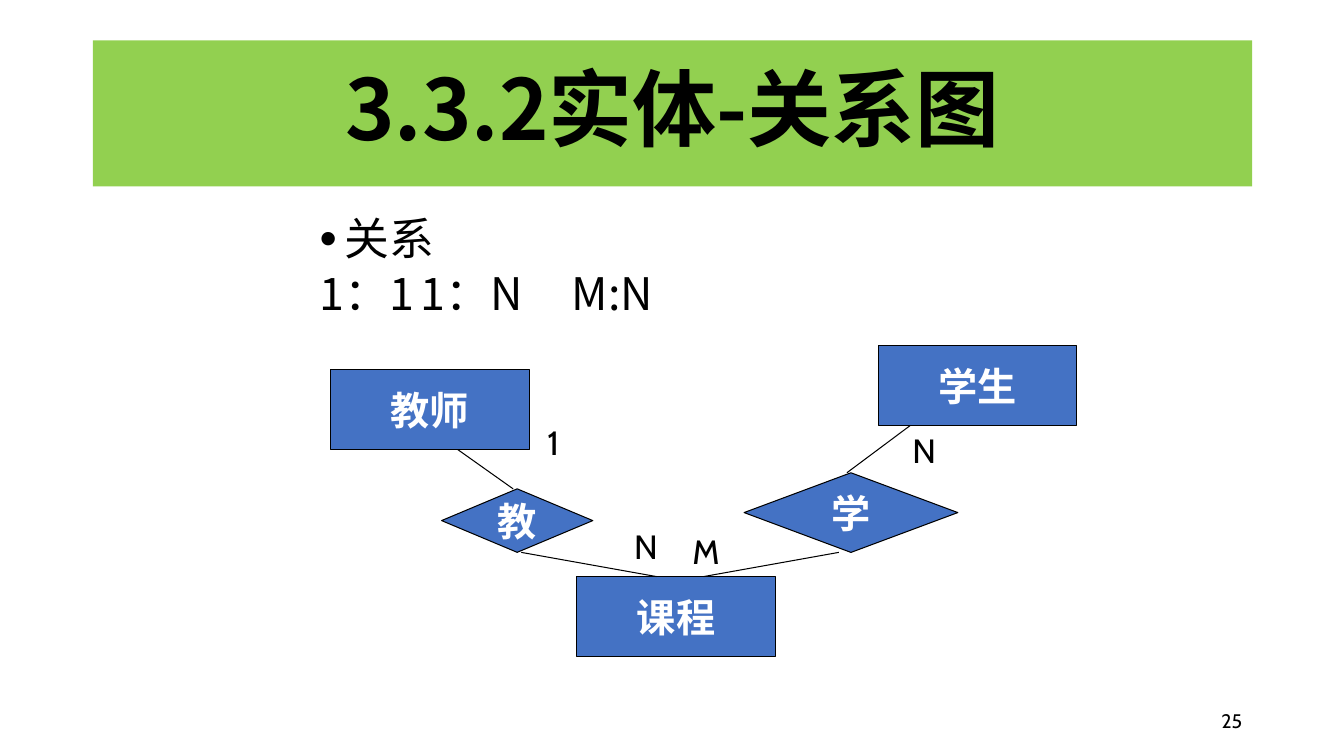
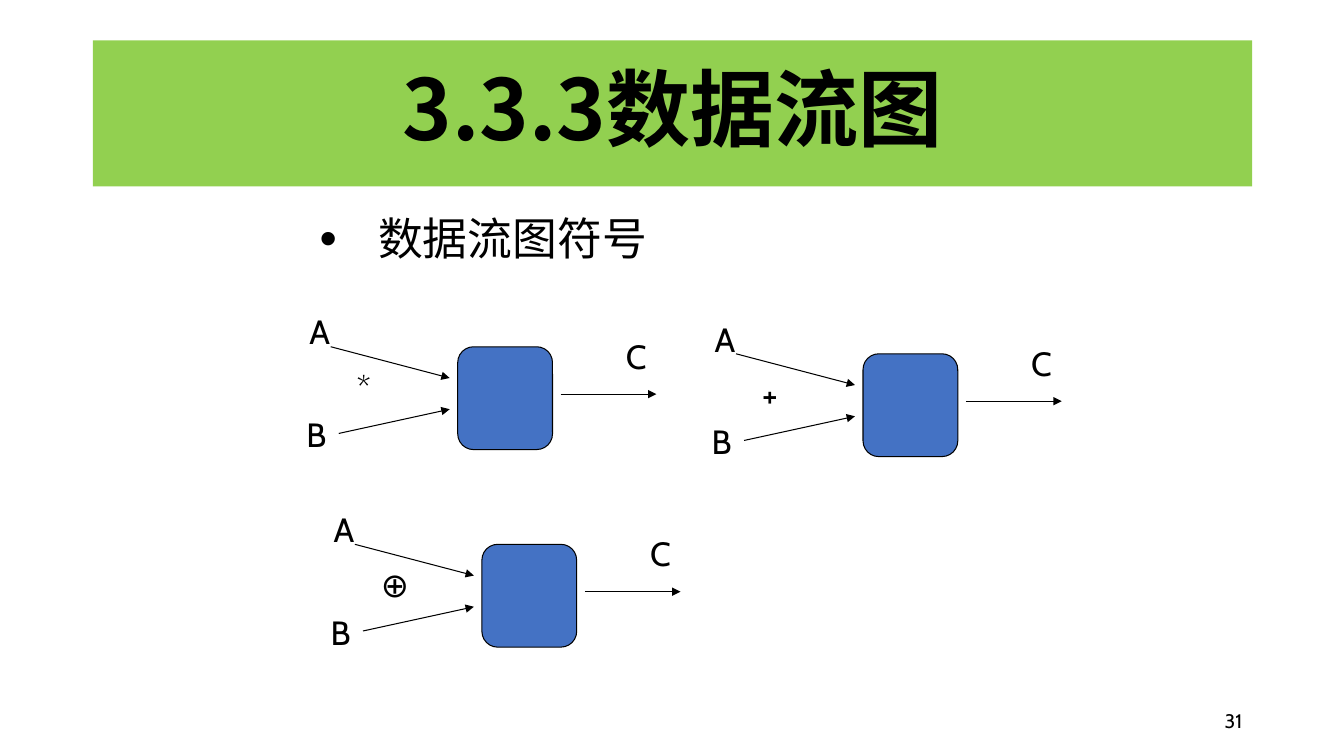
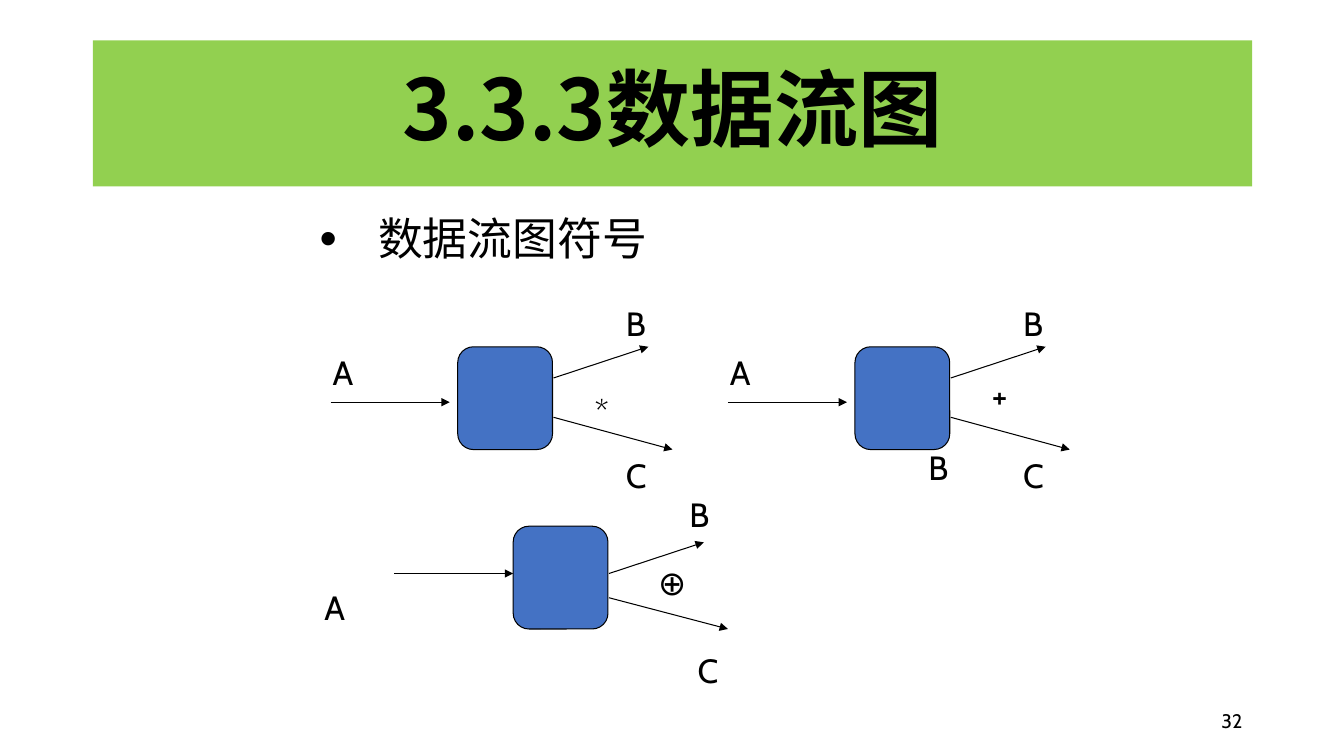
"""Build three slides on entity-relationship and data-flow diagrams."""
from lxml import etree
from pptx import Presentation
from pptx.dml.color import RGBColor
from pptx.enum.shapes import MSO_CONNECTOR, MSO_SHAPE
from pptx.enum.text import MSO_ANCHOR, MSO_AUTO_SIZE, PP_ALIGN
from pptx.oxml.ns import qn
from pptx.util import Inches, Pt

RECT, ROUND, DIAMOND = MSO_SHAPE.RECTANGLE, MSO_SHAPE.ROUNDED_RECTANGLE, MSO_SHAPE.FLOWCHART_DECISION
STRAIGHT = MSO_CONNECTOR.STRAIGHT
MIDDLE = MSO_ANCHOR.MIDDLE
NO_FIT, GROW = MSO_AUTO_SIZE.NONE, MSO_AUTO_SIZE.SHAPE_TO_FIT_TEXT
LEFT, CENTER, RIGHT, JUSTIFY = PP_ALIGN.LEFT, PP_ALIGN.CENTER, PP_ALIGN.RIGHT, PP_ALIGN.JUSTIFY

BLACK, WHITE, GREEN, BLUE = "000000", "FFFFFF", "92D050", "4472C4"
CJK, LATIN = "Noto Sans CJK SC", "Cabin"
BOX_W, BOX_H = 0.94, 1.02


def paint(fill, color):
    fill.solid()
    fill.fore_color.rgb = RGBColor.from_string(color)


def write(tf, text, size=24, font=LATIN, color=BLACK, bold=False, align=LEFT, spacing=1.0, before=0):
    p = tf.paragraphs[0]
    if p.runs:
        p = tf.add_paragraph()
    p.alignment, p.line_spacing, p.space_before = align, spacing, Pt(before)
    r = p.add_run()
    r.text = text
    r.font.size, r.font.name, r.font.bold = Pt(size), font, bold
    paint(r.font.fill, color)
    etree.SubElement(r.font._element, qn("a:ea"), typeface=CJK)
    return p


er_nodes = [
    (RECT, 3.28, 3.67, 1.97, 0.79, "教师"),
    (RECT, 8.71, 3.43, 1.97, 0.79, "学生"),
    (RECT, 5.72, 5.72, 1.97, 0.79, "课程"),
    (DIAMOND, 4.38, 4.85, 1.5, 0.63, "教"),
    (DIAMOND, 7.38, 4.69, 2.12, 0.79, "学"),
]
er_lines = [
    (4.54, 4.46, 5.09, 4.85), (8.4, 4.69, 9.03, 4.22),
    (5.17, 5.48, 6.51, 5.72), (6.98, 5.72, 8.32, 5.48),
]
er_labels = [("1", 5.33, 4.14), ("N", 6.19, 5.17), ("N", 8.95, 4.22), ("M", 6.77, 5.22)]

join_arrows = [(-1.26, 0, -0.08, 0.31), (-1.18, 0.86, -0.08, 0.62), (1.02, 0.47, 1.97, 0.47)]
join_labels = [("A", -1.57, -0.4), ("B", -1.6, 0.62), ("C", 1.57, -0.16)]
joins = [
    (x, y, join_arrows, join_labels + [(sign, -1.1, 0.15)])
    for x, y, sign in [(4.54, 3.44, "*"), (8.56, 3.51, "+"), (4.78, 5.4, "⊕")]
]

fork_arrows = [(-1.26, 0.55, -0.08, 0.55), (0.95, 0.7, 2.13, 1.02), (0.95, 0.31, 1.89, 0)]
fork_labels = [("A", -1.34, 0), ("B", 1.57, -0.48), ("C", 1.57, 1.02)]
low_arrows = [(-1.18, 0.47, 0, 0.47), (0.95, 0.71, 2.13, 1.02), (0.95, 0.47, 1.89, 0.16)]
low_labels = [("A", -1.97, 0.55), ("B", 1.65, -0.37), ("C", 1.73, 1.18), ("⊕", 1.34, 0.31)]
forks = [
    (4.54, 3.44, fork_arrows, fork_labels + [("*", 1.26, 0.39)]),
    (8.48, 3.44, fork_arrows, fork_labels + [("+", 1.26, 0.23), ("B", 0.63, 0.94)]),
    (5.09, 5.22, low_arrows, low_labels),
]

slides = [("25", "3.3.2实体-关系图", "关系", 0.25, er_nodes, er_lines, er_labels, False)]
for number, flows in [("31", joins), ("32", forks)]:
    nodes, lines, labels = [], [], []
    for x, y, arrows, marks in flows:
        nodes.append((ROUND, x, y, BOX_W, BOX_H, ""))
        lines += [(x + x1, y + y1, x + x2, y + y2) for x1, y1, x2, y2 in arrows]
        labels += [(mark, x + dx, y + dy) for mark, dx, dy in marks]
    slides.append((number, "3.3.3数据流图", "数据流图符号", 0.58, nodes, lines, labels, True))

prs = Presentation()
prs.slide_width, prs.slide_height = Inches(13.33), Inches(7.5)

for number, title, topic, hang, nodes, lines, labels, arrowed in slides:
    s = prs.slides.add_slide(prs.slide_layouts[1])

    sp = s.shapes.title
    sp.left, sp.top, sp.width, sp.height = Inches(0.92), Inches(0.4), Inches(11.5), Inches(1.45)
    paint(sp.fill, GREEN)
    tf = sp.text_frame
    tf.auto_size, tf.vertical_anchor = NO_FIT, MIDDLE
    write(tf, title, size=60, font=CJK, bold=True, align=CENTER, spacing=0.9)

    sp = s.placeholders[1]
    sp.left, sp.top, sp.width, sp.height = Inches(2.57), Inches(2.1), Inches(8.5), Inches(4.5)
    tf = sp.text_frame
    tf.auto_size, tf.margin_left = NO_FIT, Inches(0.6)
    p = write(tf, topic, size=32, font=CJK, align=JUSTIFY, spacing=0.9)
    pPr = p._p.get_or_add_pPr()
    pPr.set("marL", str(Inches(hang)))
    pPr.set("indent", str(-Inches(hang)))
    etree.SubElement(pPr, qn("a:buSzPct"), val="110000")
    etree.SubElement(pPr, qn("a:buChar"), char="•")
    if not arrowed:
        p = write(tf, "1：1\t1：N\tM:N", size=32, font=CJK, align=JUSTIFY, spacing=0.9, before=5)
        pPr = p._p.get_or_add_pPr()
        pPr.set("marL", "0")
        pPr.set("indent", "0")
        etree.SubElement(pPr, qn("a:buNone"))
        tabs = etree.SubElement(pPr, qn("a:tabLst"))
        for stop in (1.85, 3.65):
            etree.SubElement(tabs, qn("a:tab"), pos=str(Inches(stop)), algn="l")

    sp = s.shapes.add_textbox(Inches(9.42), Inches(6.95), Inches(3), Inches(0.4))
    tf = sp.text_frame
    tf.word_wrap, tf.vertical_anchor = True, MIDDLE
    write(tf, number, size=14, align=RIGHT)

    for kind, x, y, w, h, name in nodes:
        sp = s.shapes.add_shape(kind, Inches(x), Inches(y), Inches(w), Inches(h))
        sp.shadow.inherit = False
        paint(sp.fill, BLUE)
        paint(sp.line.fill, BLACK)
        sp.line.width = Pt(0.75)
        if name:
            tf = sp.text_frame
            tf.word_wrap, tf.vertical_anchor = False, MIDDLE
            write(tf, name, size=28, color=WHITE, bold=True, align=CENTER)

    for x1, y1, x2, y2 in lines:
        sp = s.shapes.add_connector(STRAIGHT, Inches(x1), Inches(y1), Inches(x2), Inches(y2))
        paint(sp.line.fill, BLACK)
        sp.line.width = Pt(0.75)
        spPr = sp._element.spPr
        if arrowed:
            etree.SubElement(spPr.find(qn("a:ln")), qn("a:tailEnd"), type="triangle")
        etree.SubElement(spPr, qn("a:effectLst"))

    for mark, x, y in labels:
        sp = s.shapes.add_textbox(Inches(x), Inches(y), Inches(0.47), Inches(0.5))
        tf = sp.text_frame
        tf.word_wrap, tf.auto_size = True, GROW
        write(tf, mark)

prs.save("out.pptx")
